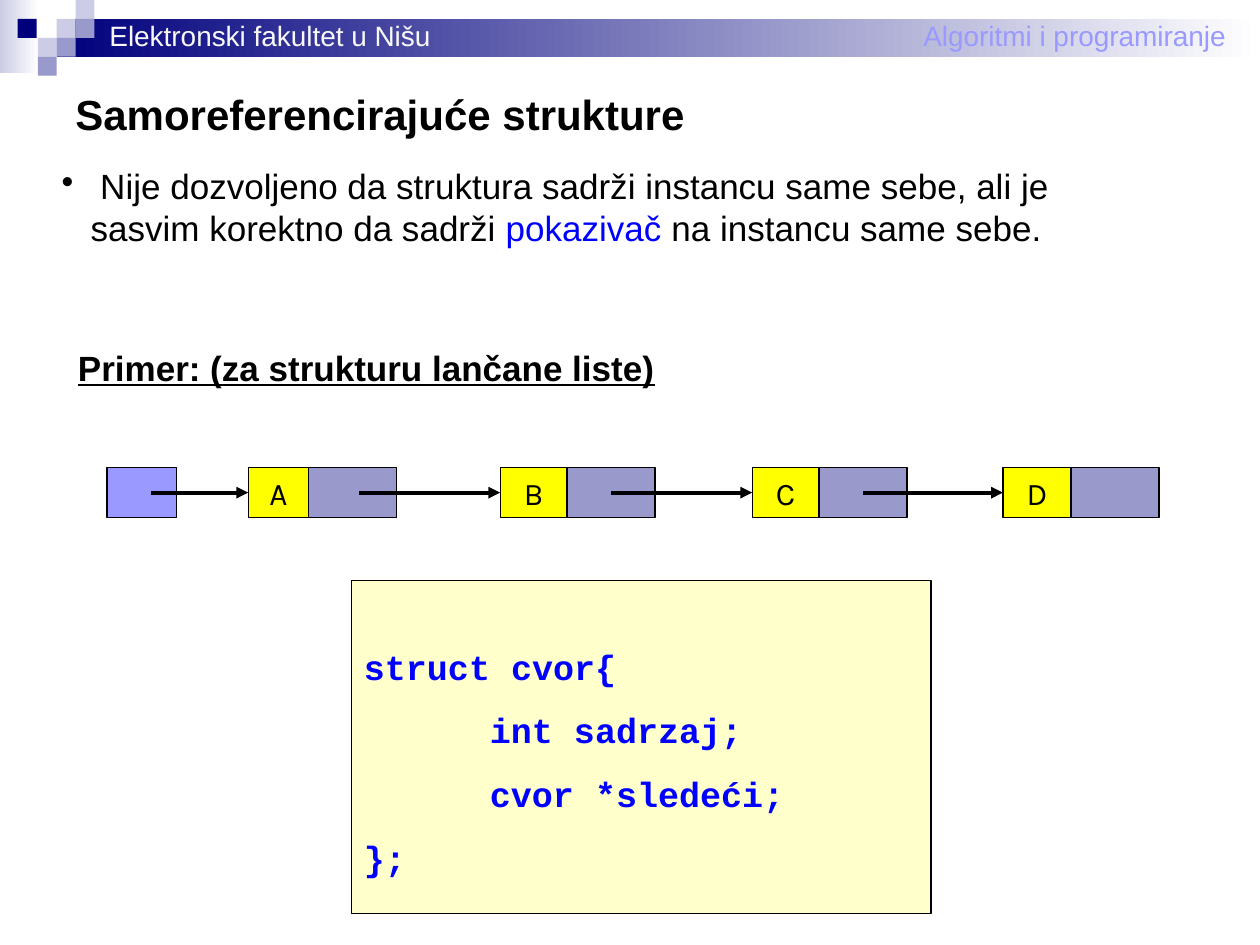
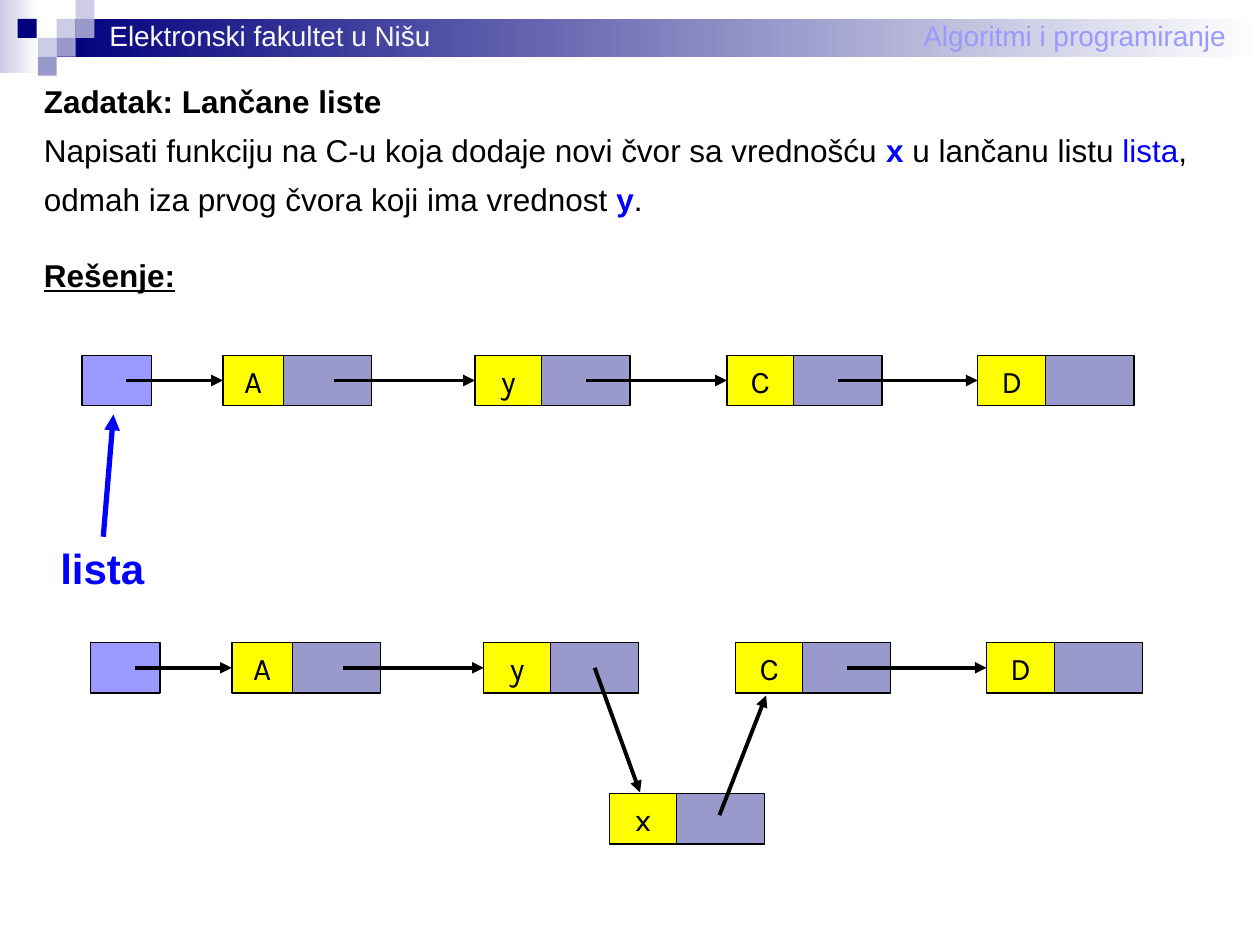
from dataclasses import dataclass
from typing import NamedTuple

from lxml.etree import SubElement as SubEl
from pptx import Presentation
from pptx.dml.color import RGBColor as Rgb
from pptx.enum.shapes import MSO_CONNECTOR as Link, MSO_SHAPE as Kind
from pptx.enum.text import MSO_ANCHOR as Anchor, MSO_AUTO_SIZE as Fit, PP_ALIGN as Align
from pptx.oxml.ns import qn
from pptx.shapes.autoshape import Shape
from pptx.slide import Slide
from pptx.text.text import TextFrame
from pptx.util import Inches, Pt


@dataclass(frozen=True)
class Theme:
    black: str = "000000"
    white: str = "FFFFFF"
    pale: str = "F8F8F8"
    blue: str = "0000FF"
    navy: str = "00007D"
    mist: str = "CCCCE6"
    slate: str = "9999CC"
    lilac: str = "9999FF"
    yellow: str = "FFFF00"
    cream: str = "FFFFCC"
    sans: str = "Arial"
    mono: str = "Courier New"
    label: str = "Karla"
    small: int = 16
    text: int = 18
    lead: int = 20
    title: int = 24
    thin: float = 0.75
    arrow: float = 2.25
    thick: float = 3


T = Theme()


class Box(NamedTuple):
    left: float
    top: float
    width: float
    height: float


class Spot(NamedTuple):
    x: float
    y: float


class Run(NamedTuple):
    text: str
    size: int = T.text
    color: str = T.black
    bold: bool = False
    under: bool = False
    font: str = T.sans


class Para(NamedTuple):
    runs: list[Run]
    before: float = 0
    line: float = 1
    bullet: bool = False
    align: Align = Align.LEFT
    tab: float = 0


class Tile(NamedTuple):
    box: Box
    fill: str
    fade: bool = False


class Node(NamedTuple):
    shift: float
    width: float


STEP = 0.15
CELL = 0.4
NEXT = 0.7
STEM = 0.88
NODES = [Node(1.12, 0.48), Node(3.12, 0.53), Node(5.12, 0.53), Node(7.11, 0.54)]

TILES = [
    Tile(Box(0, 0, 0.31, 0.58), T.mist, True),
    Tile(Box(0.45, STEP, 9.55, 0.3), T.navy, True),
    Tile(Box(0.14, STEP, STEP, STEP), T.navy),
] + [
    Tile(Box(col * STEP, row * STEP, STEP, STEP), fill)
    for col, row, fill in [
        (3, 1, T.mist), (4, 0, T.mist), (4, 1, T.slate),
        (2, 2, T.mist), (3, 2, T.slate), (2, 3, T.slate),
    ]
]


def add_rect(slide: Slide, box: Box, fill: str, edge: bool = True) -> Shape:
    rect = slide.shapes.add_shape(Kind.RECTANGLE, *map(Inches, box))
    rect.shadow.inherit = False
    rect.fill.solid()
    rect.fill.fore_color.rgb = Rgb.from_string(fill)
    if edge:
        rect.line.color.rgb = Rgb.from_string(T.black)
        rect.line.width = Pt(T.thin)
    else:
        rect.line.fill.background()
    return rect


def write(frame: TextFrame, paras: list[Para]) -> None:
    for i, item in enumerate(paras):
        para = frame.paragraphs[0] if i == 0 else frame.add_paragraph()
        para.alignment = item.align
        para.line_spacing = item.line
        if item.before:
            para.space_before = Pt(item.before)
        props = para._p.get_or_add_pPr()
        if item.bullet:
            props.set("marL", str(Inches(0.23)))
            props.set("indent", str(-Inches(0.23)))
            tint = SubEl(props, qn("a:buClr"))
            SubEl(tint, qn("a:srgbClr")).set("val", T.black)
            SubEl(props, qn("a:buChar")).set("char", "•")
        if item.tab:
            stop = SubEl(SubEl(props, qn("a:tabLst")), qn("a:tab"))
            stop.set("pos", str(Inches(item.tab)))
            stop.set("algn", "l")
        for part in item.runs:
            run = para.add_run()
            run.text = part.text
            font = run.font
            font.name = part.font
            font.size = Pt(part.size)
            font.bold = part.bold
            font.underline = part.under
            font.color.rgb = Rgb.from_string(part.color)


def add_text(slide: Slide, box: Box, paras: list[Para], wrap: bool = False) -> None:
    frame = slide.shapes.add_textbox(*map(Inches, box)).text_frame
    frame.word_wrap = wrap
    frame.auto_size = Fit.NONE if wrap else Fit.SHAPE_TO_FIT_TEXT
    write(frame, paras)


def add_arrow(slide: Slide, start: Spot, end: Spot,
              color: str = T.black, width: float = T.arrow) -> None:
    line = slide.shapes.add_connector(Link.STRAIGHT, *map(Inches, start + end))
    line.line.color.rgb = Rgb.from_string(color)
    line.line.width = Pt(width)
    SubEl(line.line._get_or_add_ln(), qn("a:tailEnd")).set("type", "triangle")
    SubEl(line._element.spPr, qn("a:effectLst"))


def add_node(slide: Slide, spot: Spot, width: float, name: str) -> None:
    cell = add_rect(slide, Box(*spot, width, CELL), T.yellow)
    frame = cell.text_frame
    frame.word_wrap = True
    frame.vertical_anchor = Anchor.MIDDLE
    write(frame, [Para([Run(name, font=T.label)], align=Align.CENTER)])
    add_rect(slide, Box(spot.x + width, spot.y, NEXT, CELL), T.slate)


def add_list(slide: Slide, spot: Spot, names: str, cut: str = "") -> None:
    add_rect(slide, Box(*spot, 0.55, CELL), T.lilac)
    for name, node in zip(names, NODES):
        add_node(slide, Spot(spot.x + node.shift, spot.y), node.width, name)
    mid = spot.y + CELL / 2
    add_arrow(slide, Spot(spot.x + 0.35, mid), Spot(spot.x + NODES[0].shift, mid))
    for name, node, after in zip(names, NODES, NODES[1:]):
        if name != cut:
            add_arrow(slide, Spot(spot.x + node.shift + STEM, mid),
                      Spot(spot.x + after.shift, mid))


def add_head(slide: Slide) -> None:
    for tile in TILES:
        rect = add_rect(slide, tile.box, tile.fill, False)
        if tile.fade:
            rect.fill.gradient()
            rect.fill.gradient_angle = 0
            for stop, color in zip(rect.fill.gradient_stops, (tile.fill, T.white)):
                stop.color.rgb = Rgb.from_string(color)
    add_text(slide, Box(7.23, 0.1, 2.6, 0.37),
             [Para([Run("Algoritmi i programiranje", T.small, T.lilac)])])
    add_text(slide, Box(0.77, 0.1, 2.75, 0.37),
             [Para([Run("Elektronski fakultet u Nišu", T.small, T.pale)])])


def add_code(slide: Slide, box: Box, lines: list[str]) -> None:
    frame = add_rect(slide, box, T.cream).text_frame
    frame.word_wrap = True
    frame.vertical_anchor = Anchor.TOP
    frame.margin_top = Inches(0.51)
    write(frame, [
        Para([Run(line, T.lead, T.blue, True, font=T.mono)],
             before=12.5 if i else 0, tab=1)
        for i, line in enumerate(lines)
    ])


def draw_struct(slide: Slide) -> None:
    add_text(slide, Box(0.5, 0.65, 6, 0.5),
             [Para([Run("Samoreferencirajuće strukture", T.title, bold=True)])],
             wrap=True)
    add_text(slide, Box(0.39, 1.26, 8.42, 0.8), [Para([
        Run(" Nije dozvoljeno da struktura sadrži instancu same sebe, "
            "ali je sasvim korektno da sadrži ", T.lead),
        Run("pokazivač", T.lead, T.blue),
        Run(" na instancu same sebe.", T.lead),
    ], bullet=True)], wrap=True)
    add_text(slide, Box(0.52, 2.7, 4.78, 0.44), [Para([
        Run("Primer: (za strukturu lančane liste)", T.lead, bold=True, under=True),
    ])])
    add_code(slide, Box(2.79, 4.61, 4.6, 2.64),
             ["struct cvor{", "\tint sadrzaj;", "\tcvor *sledeći;", "};"])
    add_list(slide, Spot(0.85, 3.71), "ABCD")


def draw_task(slide: Slide) -> None:
    add_text(slide, Box(0.25, 0.6, 9.34, 1.85), [
        Para([Run("Zadatak: Lančane liste", bold=True)]),
        Para([
            Run("Napisati funkciju na C-u koja dodaje novi čvor sa vrednošću "),
            Run("x", color=T.blue, bold=True),
            Run(" u lančanu listu "),
            Run("lista", color=T.blue),
            Run(","),
        ], line=1.3),
        Para([
            Run("odmah iza prvog čvora koji ima vrednost "),
            Run("y", color=T.blue, bold=True),
            Run("."),
        ], line=1.3),
        Para([Run("Rešenje:", bold=True, under=True)], before=22),
    ])
    add_text(slide, Box(0.38, 4.26, 0.89, 0.5),
             [Para([Run("lista", T.title, T.blue, True)])])
    add_arrow(slide, Spot(0.82, 4.26), Spot(0.9, 3.29), T.blue, T.thick)
    add_list(slide, Spot(0.65, 2.82), "AyCD")
    add_list(slide, Spot(0.72, 5.1), "AyCD", cut="y")
    add_node(slide, Spot(4.84, 6.3), 0.53, "x")
    add_arrow(slide, Spot(4.72, 5.3), Spot(5.08, 6.29))
    add_arrow(slide, Spot(5.71, 6.47), Spot(6.08, 5.52))


def main() -> None:
    deck = Presentation()
    deck.slide_width = Inches(10)
    deck.slide_height = Inches(7.5)
    for draw in (draw_struct, draw_task):
        slide = deck.slides.add_slide(deck.slide_layouts[6])
        add_head(slide)
        draw(slide)
    deck.save("out.pptx")


if __name__ == "__main__":
    main()
